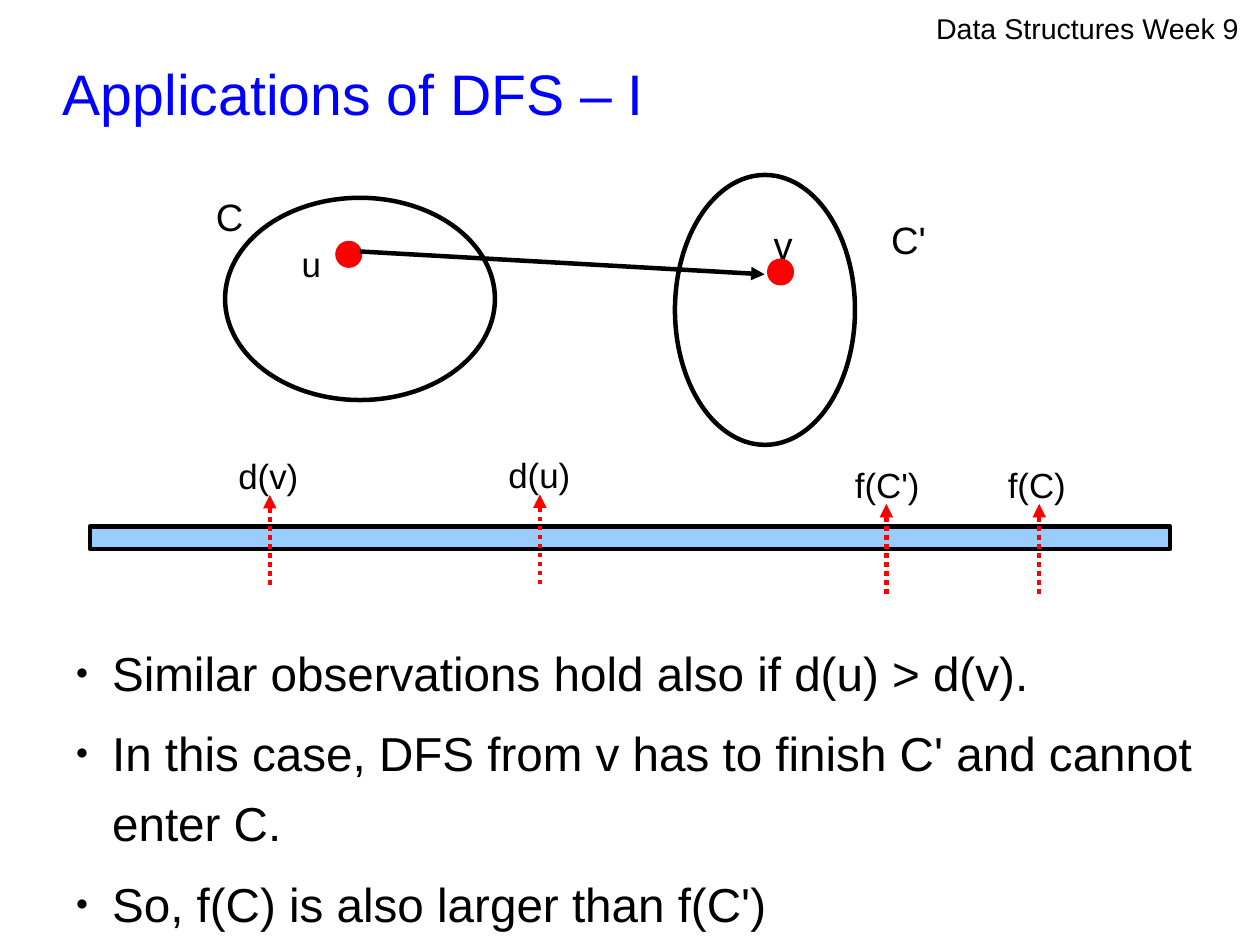
import lxml.etree
import pptx
import pptx.dml.color
import pptx.enum.dml
import pptx.enum.shapes
import pptx.enum.text
import pptx.oxml.ns
import pptx.util

Pt = pptx.util.Pt
LINE_WIDTH = Pt(2.83)


def colour(hex_text):
    return pptx.dml.color.RGBColor.from_string(hex_text)


def write(shape, lines, size, ink="000000", spacing=1.24, after=0, inset=(0, 0),
          anchor=pptx.enum.text.MSO_ANCHOR.TOP, bulleted=False):
    """Fill a shape with one paragraph per line; inset is (left, top and bottom)."""
    frame = shape.text_frame
    frame.word_wrap = True
    frame.auto_size = pptx.enum.text.MSO_AUTO_SIZE.NONE
    frame.vertical_anchor = anchor
    frame.margin_left, frame.margin_right = Pt(inset[0]), 0
    frame.margin_top = frame.margin_bottom = Pt(inset[1])
    for index, line in enumerate(lines):
        para = frame.add_paragraph() if index else frame.paragraphs[0]
        para.alignment = pptx.enum.text.PP_ALIGN.LEFT
        para.line_spacing = spacing
        para.space_before, para.space_after = Pt(0), Pt(after)
        if bulleted:
            properties = para._p.get_or_add_pPr()
            properties.set("marL", str(Pt(31)))
            properties.set("indent", str(Pt(-23)))
            bullet_colour = lxml.etree.SubElement(properties, pptx.oxml.ns.qn("a:buClr"))
            lxml.etree.SubElement(bullet_colour, pptx.oxml.ns.qn("a:srgbClr"), val=ink)
            lxml.etree.SubElement(properties, pptx.oxml.ns.qn("a:buSzPct"), val="45000")
            lxml.etree.SubElement(properties, pptx.oxml.ns.qn("a:buChar"), char="●")
        span = para.add_run()
        span.text = line
        span.font.name = "Arial"
        span.font.size = Pt(size)
        span.font.color.rgb = colour(ink)


deck = pptx.Presentation()
deck.slide_width, deck.slide_height = Pt(793.75), Pt(595.25)
page = deck.slides.add_slide(deck.slide_layouts[1])

# Title, bullets and running header
title, body = page.shapes.title, page.placeholders[1]
title.left, title.top, title.width, title.height = Pt(39.6), Pt(26.6), Pt(712), Pt(53.3)
write(title, ["Applications of DFS – I"], 36, ink="0000FF",
      anchor=pptx.enum.text.MSO_ANCHOR.MIDDLE)

body.left, body.top, body.width, body.height = Pt(39.6), Pt(396.7), Pt(725.8), Pt(198.5)
write(body, [
    "Similar observations hold also if d(u) > d(v).",
    "In this case, DFS from v has to finish C' and cannot enter C.",
    "So, f(C) is also larger than f(C')",
], 30, after=5.8, bulleted=True)

header = page.shapes.add_textbox(Pt(589.7), Pt(7.2), Pt(195.1), Pt(23.8))
write(header, ["Data Structures Week 9"], 18, spacing=1.0)

# Components, their vertices and the time bar
OVAL = pptx.enum.shapes.MSO_SHAPE.OVAL
BAR = pptx.enum.shapes.MSO_SHAPE.RECTANGLE
for kind, left, top, width, height, fill, outline in [
    (OVAL, 141.8, 124.6, 170, 127.4, None, "000000"),
    (OVAL, 425.2, 110.2, 113.4, 170, None, "000000"),
    (OVAL, 212.6, 153.1, 14.2, 14.2, "FF0000", "FF0000"),
    (OVAL, 484.6, 164.2, 14.2, 14.2, "FF0000", "FF0000"),
    (BAR, 56.7, 331.7, 680.4, 14.2, "99CCFF", "000000"),
]:
    shape = page.shapes.add_shape(kind, Pt(left), Pt(top), Pt(width), Pt(height))
    shape.shadow.inherit = False
    if fill:
        shape.fill.solid()
        shape.fill.fore_color.rgb = colour(fill)
    else:
        shape.fill.background()
    shape.line.color.rgb = colour(outline)
    shape.line.width = LINE_WIDTH

# Edge from u to v, then one dotted arrow and label per time mark
arrows = [(226.8, 158.4, 481.7, 172.8, "000000", None)]
labels = [
    ("u", 181.4, 141.6, 42.5, 22),
    ("v", 478.8, 127.4, 42.5, 24),
    ("C", 127.4, 110.2, 56.7, 24),
    ("C'", 552.8, 124.6, 56.7, 24),
]
for text, x, tip, width in [("d(v)", 170, 311.8, 56.7), ("d(u)", 340.1, 311.4, 56.7),
                            ("f(C')", 558.4, 317.4, 65.5), ("f(C)", 654.7, 317.4, 65.5)]:
    arrows.append((x, tip + 56.7, x, tip, "FF0000",
                   pptx.enum.dml.MSO_LINE.ROUND_DOT))
    labels.append((text, x - 28.4, tip - 36.9, width, 22))

for x1, y1, x2, y2, ink, dash in arrows:
    arrow = page.shapes.add_connector(pptx.enum.shapes.MSO_CONNECTOR.STRAIGHT,
                                      Pt(x1), Pt(y1), Pt(x2), Pt(y2))
    arrow.line.color.rgb = colour(ink)
    arrow.line.width = LINE_WIDTH
    if dash:
        arrow.line.dash_style = dash
    lxml.etree.SubElement(arrow.line._get_or_add_ln(), pptx.oxml.ns.qn("a:tailEnd"),
                          type="triangle")
    lxml.etree.SubElement(arrow._element.spPr, pptx.oxml.ns.qn("a:effectLst"))

for text, left, top, width, size in labels:
    box = page.shapes.add_textbox(Pt(left), Pt(top), Pt(width), Pt(42.5))
    write(box, [text], size, inset=(8.6, 5))

deck.save("out.pptx")
